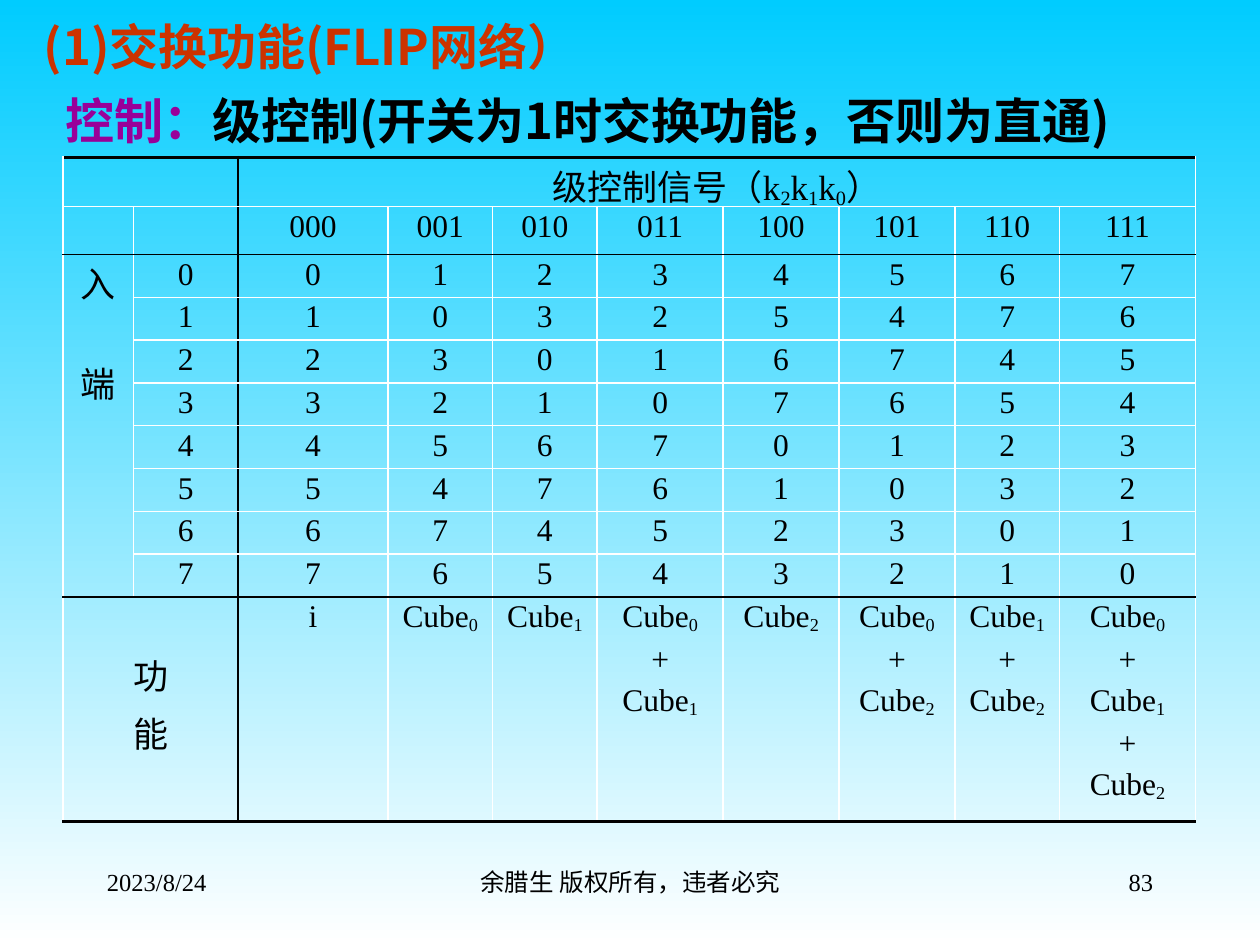
import pptx
import pptx.util
import pptx.dml.color
import pptx.enum.text
import pptx.oxml
import pptx.oxml.ns
from lxml import etree

Inches = pptx.util.Inches
Pt = pptx.util.Pt
RGBColor = pptx.dml.color.RGBColor
ALIGN = pptx.enum.text.PP_ALIGN
ANCHOR = pptx.enum.text.MSO_ANCHOR
qn = pptx.oxml.ns.qn

BLACK = RGBColor(0, 0, 0)
WHITE = RGBColor(255, 255, 255)
SKY = RGBColor(0x00, 0xCC, 0xFF)
RED = RGBColor(0xCC, 0x33, 0x00)
PURPLE = RGBColor(0x99, 0x00, 0x99)
SERIF = "Times New Roman"
SANS = "Noto Sans CJK SC"

COLS = [0.56, 0.83, 1.19, 0.83, 0.83, 1, 0.92, 0.92, 0.83, 1.08]
ROWS = [0.39, 0.38] + [0.34] * 8 + [1.78]
SPANS = {(0, 0): (1, 2), (0, 2): (1, 8), (2, 0): (8, 1), (10, 0): (1, 2)}
RULES = {0: (BLACK, 2.25), 2: (BLACK, 1), 10: (BLACK, 1), 11: (BLACK, 2.25)}


def write(frame, text, size=18, font=SERIF, color=BLACK, bold=False,
          align=ALIGN.LEFT, gap=0):
    """Write lines of text; a part is a (text, color) pair, and _ lowers the next letter."""
    parts = [(text, color)] if isinstance(text, str) else text
    para = frame.paragraphs[0]
    para.alignment = align
    for words, tint in parts:
        for index, line in enumerate(words.split("\n")):
            if index:
                para = frame.add_paragraph()
                para.alignment = align
                para.space_before = Pt(gap)
            first, *rest = line.split("_")
            pieces = [(first, False)]
            for piece in rest:
                pieces += [(piece[0], True), (piece[1:], False)]
            for piece, low in pieces:
                if not piece:
                    continue
                run = para.add_run()
                run.text = piece
                run.font.size = Pt(size)
                run.font.name = font
                run.font.bold = bold
                run.font.color.rgb = tint
                props = run.font._rPr
                etree.SubElement(props, qn("a:ea"), typeface=SANS)
                if low:
                    props.set("baseline", "-14000")


def add_text(slide, box, text, anchor=ANCHOR.TOP, indent=0.1, **style):
    frame = slide.shapes.add_textbox(*map(Inches, box)).text_frame
    frame.word_wrap = True
    frame.vertical_anchor = anchor
    frame.margin_left = Inches(indent)
    write(frame, text, **style)


def add_heads(slide, box):
    left, top, width, height = box
    lines = [
        ([("(1)交换功能(FLIP网络）", RED)], 0.1),
        ([("控制：", PURPLE), ("级控制(开关为1时交换功能，否则为直通)", BLACK)], 0.27),
    ]
    for index, (text, indent) in enumerate(lines):
        add_text(slide, (left, top + index * 0.59, width, height / 2), text,
                 anchor=ANCHOR.MIDDLE, indent=indent, size=28, font=SANS, bold=True)


def add_foot(slide, box):
    left, top, width, height = box
    items = [
        (0, 2.08, "2023/8/24", ALIGN.LEFT),
        (2.67, 3.17, "余腊生 版权所有，违者必究", ALIGN.CENTER),
        (width - 2.08, 2.08, "83", ALIGN.RIGHT),
    ]
    for start, span, text, align in items:
        add_text(slide, (left + start, top, span, height), text, size=14, align=align)


def fill_words():
    """Return the text of each cell, keyed by row and column."""
    words = {(0, 2): "级控制信号（k_2k_1k_0）", (2, 0): "入\n端", (10, 0): "功\n能"}
    for port in range(8):
        words[port + 2, 1] = str(port)
    for key in range(8):
        words[1, key + 2] = f"{key:03b}"
        for port in range(8):
            words[port + 2, key + 2] = str(port ^ key)
        cubes = [f"Cube_{bit}" for bit in range(3) if key >> bit & 1]
        words[10, key + 2] = "\n+\n".join(cubes) or "i"
    return words


def draw_edge(cell, side, color, width):
    line = etree.SubElement(cell._tc.get_or_add_tcPr(), qn(f"a:ln{side}"),
                            w=str(Pt(width)))
    fill = etree.SubElement(line, qn("a:solidFill"))
    etree.SubElement(fill, qn("a:srgbClr"), val=str(color))


def frame_cell(cell, row, col):
    """Rule the four sides of a cell, then clear its fill."""
    high, wide = SPANS.get((row, col), (1, 1))
    plain = (WHITE, 1)
    for side, at in (("L", col), ("R", col + wide)):
        draw_edge(cell, side, *((BLACK, 1) if at == 2 else plain))
    for side, at in (("T", row), ("B", row + high)):
        draw_edge(cell, side, *RULES.get(at, plain))
    cell.fill.background()


def add_grid(slide, box):
    shape = slide.shapes.add_table(len(ROWS), len(COLS), *map(Inches, box))
    table = shape.table
    table.first_row = table.horz_banding = False
    for col, width in zip(table.columns, COLS):
        col.width = Inches(width)
    for row, height in zip(table.rows, ROWS):
        row.height = Inches(height)
    for (row, col), (high, wide) in SPANS.items():
        table.cell(row, col).merge(table.cell(row + high - 1, col + wide - 1))

    words = fill_words()
    gaps = {(2, 0): 28, (10, 0): 4}
    for row in range(len(ROWS)):
        for col in range(len(COLS)):
            cell = table.cell(row, col)
            text = words.get((row, col), "")
            cell.margin_top = cell.margin_bottom = Inches(0.02 if text else 0)
            if not cell.is_spanned:
                frame_cell(cell, row, col)
                write(cell.text_frame, text, size=20 if (row, col) in SPANS else 18,
                      align=ALIGN.CENTER, gap=gaps.get((row, col), 3.6))
    table.cell(10, 0).margin_top = Inches(0.41)


def paint_back(slide):
    fill = slide.background.fill
    fill.gradient()
    fill.gradient_angle = 270
    for stop, color, place in zip(fill.gradient_stops, (SKY, WHITE), (0, 1)):
        stop.color.rgb = color
        stop.position = place


def main():
    deck = pptx.Presentation()
    deck.slide_width = Inches(10)
    deck.slide_height = Inches(7.5)
    slide = deck.slides.add_slide(deck.slide_layouts[6])
    paint_back(slide)
    add_foot(slide, (0.75, 6.83, 8.5, 0.5))
    add_heads(slide, (0.25, 0.08, 9.5, 1.14))
    add_grid(slide, (0.5, 1.25, 9, 5.23))
    deck.save("out.pptx")


if __name__ == "__main__":
    main()
